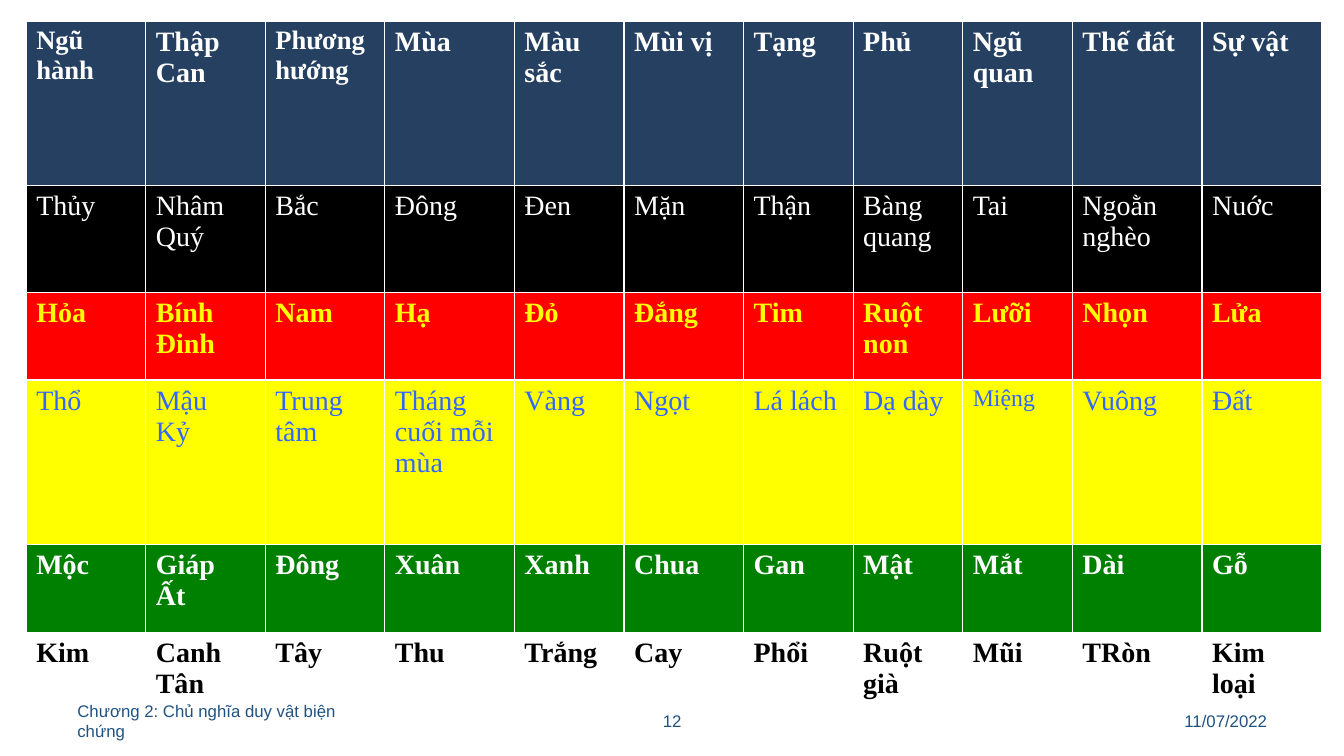
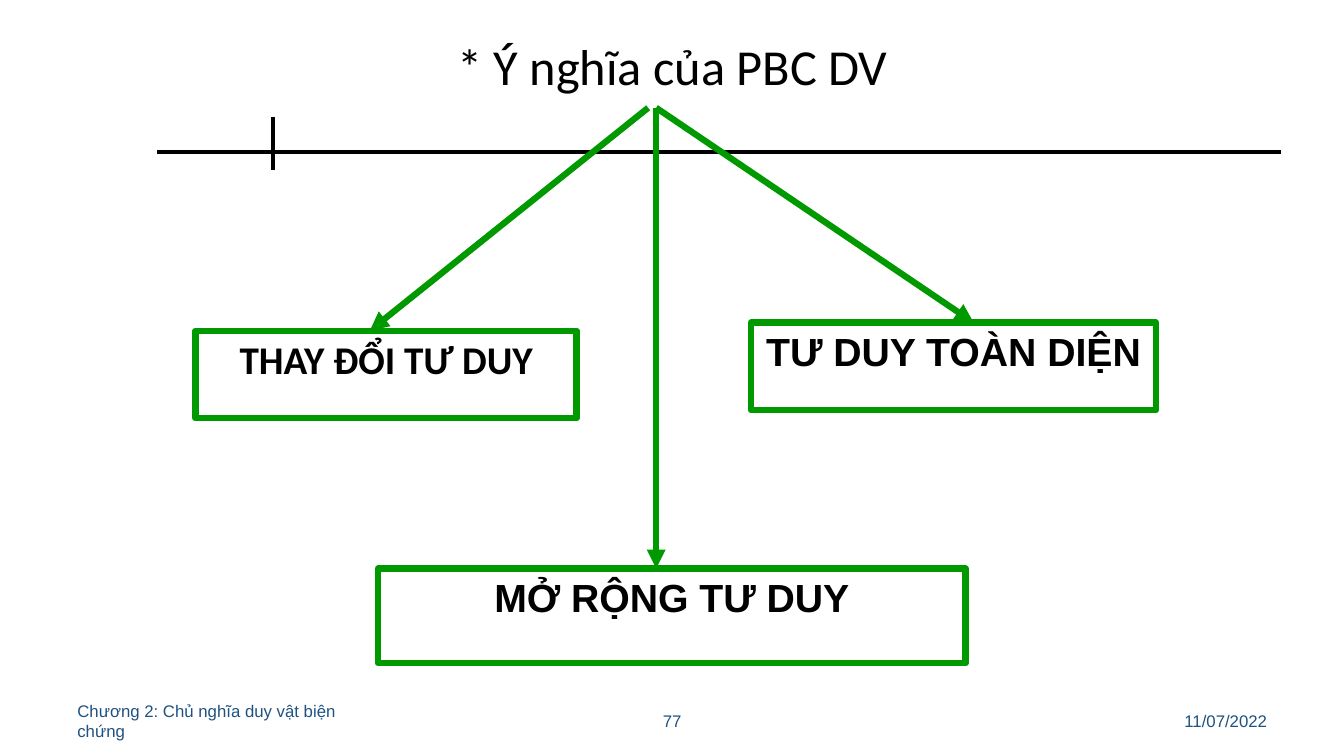
from lxml import etree
from pptx import Presentation
from pptx.dml.color import RGBColor as RGB
from pptx.enum.shapes import MSO_CONNECTOR as LINK, MSO_SHAPE as SHAPE
from pptx.enum.text import MSO_ANCHOR as ANCHOR, MSO_AUTO_SIZE as FIT, PP_ALIGN as ALIGN
from pptx.oxml.ns import qn
from pptx.util import Pt


class Theme:
    ink, white, navy = "000000", "FFFFFF", "254061"
    red, yellow, blue = "FF0000", "FFFF00", "3366FF"
    leaf, green, note = "008000", "009900", "1F5281"
    serif, sans, head = "Times New Roman", "Arial", "Calibri"
    title, label, cell, foot = 36, 28, 20, 12
    rule, edge = 3, 4.5


# Content: the five elements, one row each
ROWS = [
    # fill, ink, bold, height, cells
    (Theme.navy, Theme.white, True, 117.4,
     ["Ngũ hành", "Thập Can", "Phương hướng", "Mùa", "Màu sắc", "Mùi vị",
      "Tạng", "Phủ", "Ngũ quan", "Thế đất", "Sự vật"]),
    (Theme.ink, Theme.white, False, 76.3,
     ["Thủy", "Nhâm\nQuý", "Bắc", "Đông", "Đen", "Mặn",
      "Thận", "Bàng quang", "Tai", "Ngoằn nghèo", "Nuớc"]),
    (Theme.red, Theme.yellow, True, 62.7,
     ["Hỏa", "Bính\nĐinh", "Nam", "Hạ", "Đỏ", "Đắng",
      "Tim", "Ruột non", "Lưỡi", "Nhọn", "Lửa"]),
    (Theme.yellow, Theme.blue, False, 117.4,
     ["Thổ", "Mậu\nKỷ", "Trung tâm", "Tháng cuối mỗi mùa", "Vàng", "Ngọt",
      "Lá lách", "Dạ dày", "Miệng", "Vuông", "Đất"]),
    (Theme.leaf, Theme.white, True, 62.7,
     ["Mộc", "Giáp\nẤt", "Đông", "Xuân", "Xanh", "Chua",
      "Gan", "Mật", "Mắt", "Dài", "Gỗ"]),
    (Theme.white, Theme.ink, True, 62.7,
     ["Kim", "Canh\nTân", "Tây", "Thu", "Trắng", "Cay",
      "Phổi", "Ruột già", "Mũi", "TRòn", "Kim loại"]),
]
SLIM, MID, WIDE = 78.3, 85.4, 92.6
COLS = [MID, MID, MID, WIDE, SLIM, MID, SLIM, SLIM, SLIM, WIDE, MID]
SMALL = {"Ngũ hành": 19, "Phương hướng": 19, "Miệng": 17}

# Content: the three meanings
TITLE = "* Ý nghĩa của PBC DV"
FIRST = ("THAY ĐỔI TƯ DUY", (139.7, 236.2, 272.2, 62.6))
BOXES = [
    ("MỞ RỘNG TƯ DUY", (270, 406.1, 419.8, 67.7)),
    ("TƯ DUY TOÀN DIỆN", (536.4, 230.4, 289.4, 62.6)),
]
ARROWS = [
    (468.7, 77, 468.7, 406.1),
    (468.7, 77, 695.5, 230.4),
    (463, 77, 264.2, 236.2),
]

# Content: shared by all slides
RULES = [(112.3, 108.7, 915.1, 108.7), (195.1, 83.5, 195.1, 121.7)]
FOOT = "Chương 2: Chủ nghĩa duy vật biện chứng"
DATE = "11/07/2022"


def color(code):
    return RGB.from_string(code)


def style(frame, font, size, ink, bold=False, align=None):
    for para in frame.paragraphs:
        if align is not None:
            para.alignment = align
        for run in para.runs:
            face = run.font
            face.name, face.size, face.bold = font, Pt(size), bold
            face.color.rgb = color(ink)


def place(shape, area):
    shape.left, shape.top, shape.width, shape.height = map(Pt, area)


def line(slide, ends, ink, width, arrow=False):
    link = slide.shapes.add_connector(LINK.STRAIGHT, *map(Pt, ends))
    link.line.color.rgb = color(ink)
    link.line.width = Pt(width)
    if arrow:
        etree.SubElement(link.line._get_or_add_ln(), qn("a:tailEnd"), type="triangle")
    etree.SubElement(link.element.spPr, qn("a:effectLst"))
    return link


def footer(slide, number):
    parts = [
        (DATE, 688.3, 223.9, ALIGN.RIGHT),
        (FOOT, 48.2, 223.9, ALIGN.LEFT),
        (number, 328.3, 303.8, ALIGN.CENTER),
    ]
    for text, left, width, align in parts:
        box = slide.shapes.add_textbox(Pt(left), Pt(500.4), Pt(width), Pt(28.8))
        frame = box.text_frame
        frame.word_wrap = True
        frame.vertical_anchor = ANCHOR.MIDDLE
        frame.text = text
        style(frame, Theme.sans, Theme.foot, Theme.note, align=align)


def label(shape, text, font):
    shape.fill.background()
    shape.line.color.rgb = color(Theme.green)
    shape.line.width = Pt(Theme.edge)
    frame = shape.text_frame
    frame.word_wrap, frame.auto_size = True, FIT.NONE
    frame.vertical_anchor = ANCHOR.TOP
    frame.text = text
    style(frame, font, Theme.label, Theme.ink, True, ALIGN.CENTER)


def grid(slide):
    area = (18.7, 15.1, sum(COLS), sum(row[3] for row in ROWS))
    table = slide.shapes.add_table(len(ROWS), len(COLS), *map(Pt, area)).table
    table.horz_banding = False
    for col, width in zip(table.columns, COLS):
        col.width = Pt(width)
    for row, (fill, ink, bold, height, words) in zip(table.rows, ROWS):
        row.height = Pt(height)
        for cell, word in zip(row.cells, words):
            cell.fill.solid()
            cell.fill.fore_color.rgb = color(fill)
            cell.text_frame.text = word
            size = SMALL.get(word, Theme.cell)
            style(cell.text_frame, Theme.serif, size, ink, bold)


def tree(slide):
    # Title
    title = slide.shapes.title
    place(title, (196.6, 15.1, 567.4, 62.6))
    frame = title.text_frame
    frame.auto_size, frame.vertical_anchor = FIT.NONE, ANCHOR.MIDDLE
    frame.text = TITLE
    style(frame, Theme.head, Theme.title, Theme.ink, align=ALIGN.CENTER)

    # First meaning sits in the body placeholder, without a bullet
    text, area = FIRST
    body = slide.placeholders[1]
    place(body, area)
    label(body, text, Theme.head)
    para = body.text_frame.paragraphs[0]
    para.space_before = Pt(0)
    props = para._p.get_or_add_pPr()
    props.set("marL", "0")
    props.set("indent", "0")
    etree.SubElement(props, qn("a:buNone"))

    # Other meanings and the arrows
    for text, area in BOXES:
        box = slide.shapes.add_shape(SHAPE.RECTANGLE, *map(Pt, area))
        box.shadow.inherit = False
        label(box, text, Theme.sans)
    for ends in ARROWS:
        line(slide, ends, Theme.green, Theme.edge, arrow=True)


def main():
    deck = Presentation()
    deck.slide_width, deck.slide_height = Pt(960), Pt(540)
    pages = [(6, grid, "12"), (1, tree, "77")]
    for index, draw, number in pages:
        slide = deck.slides.add_slide(deck.slide_layouts[index])
        draw(slide)
        footer(slide, number)

    # Rules move to the master, behind every slide
    for ends in RULES:
        rule = line(slide, ends, Theme.ink, Theme.rule)
        deck.slide_master.shapes.element.append(rule.element)
    deck.save("out.pptx")


if __name__ == "__main__":
    main()
